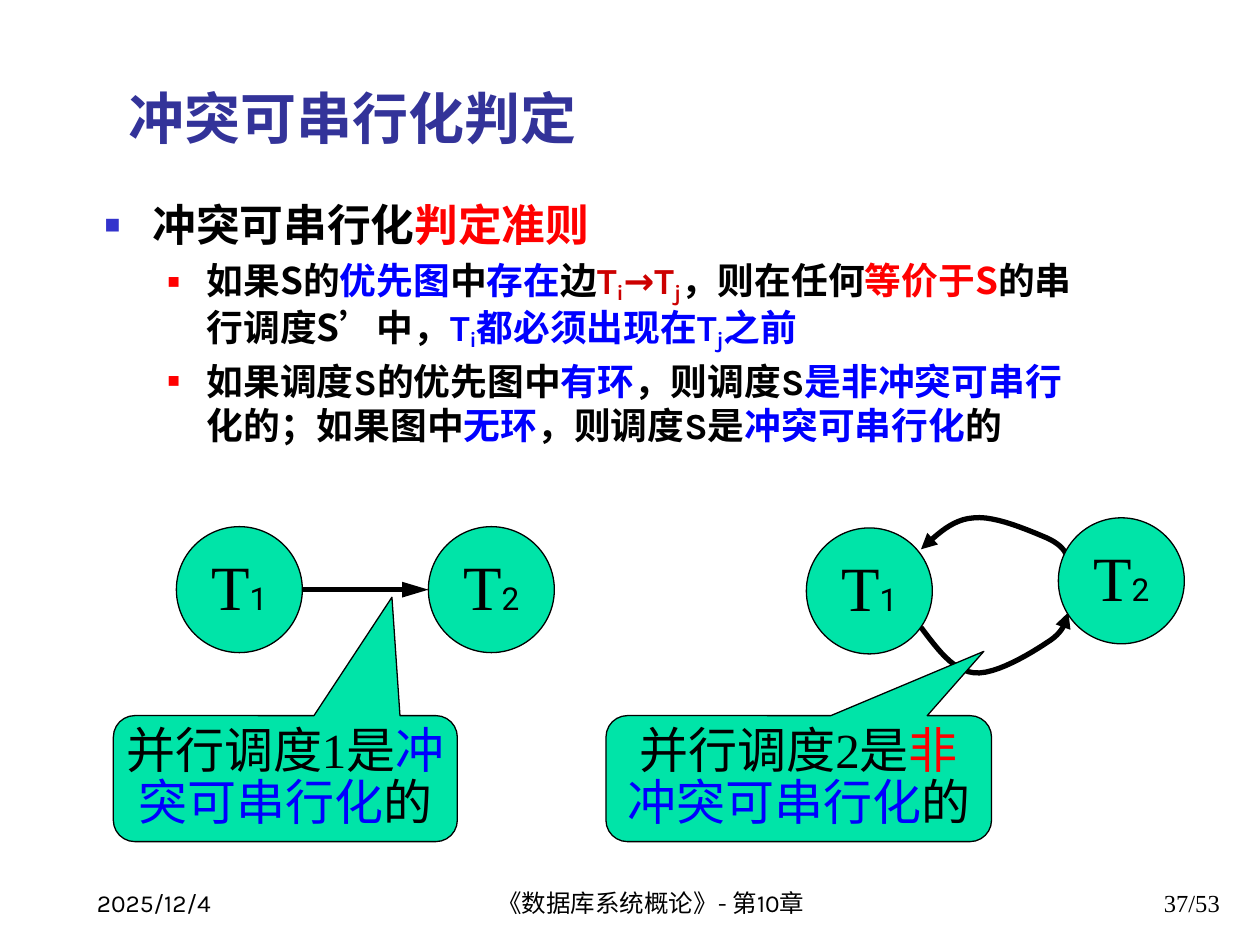
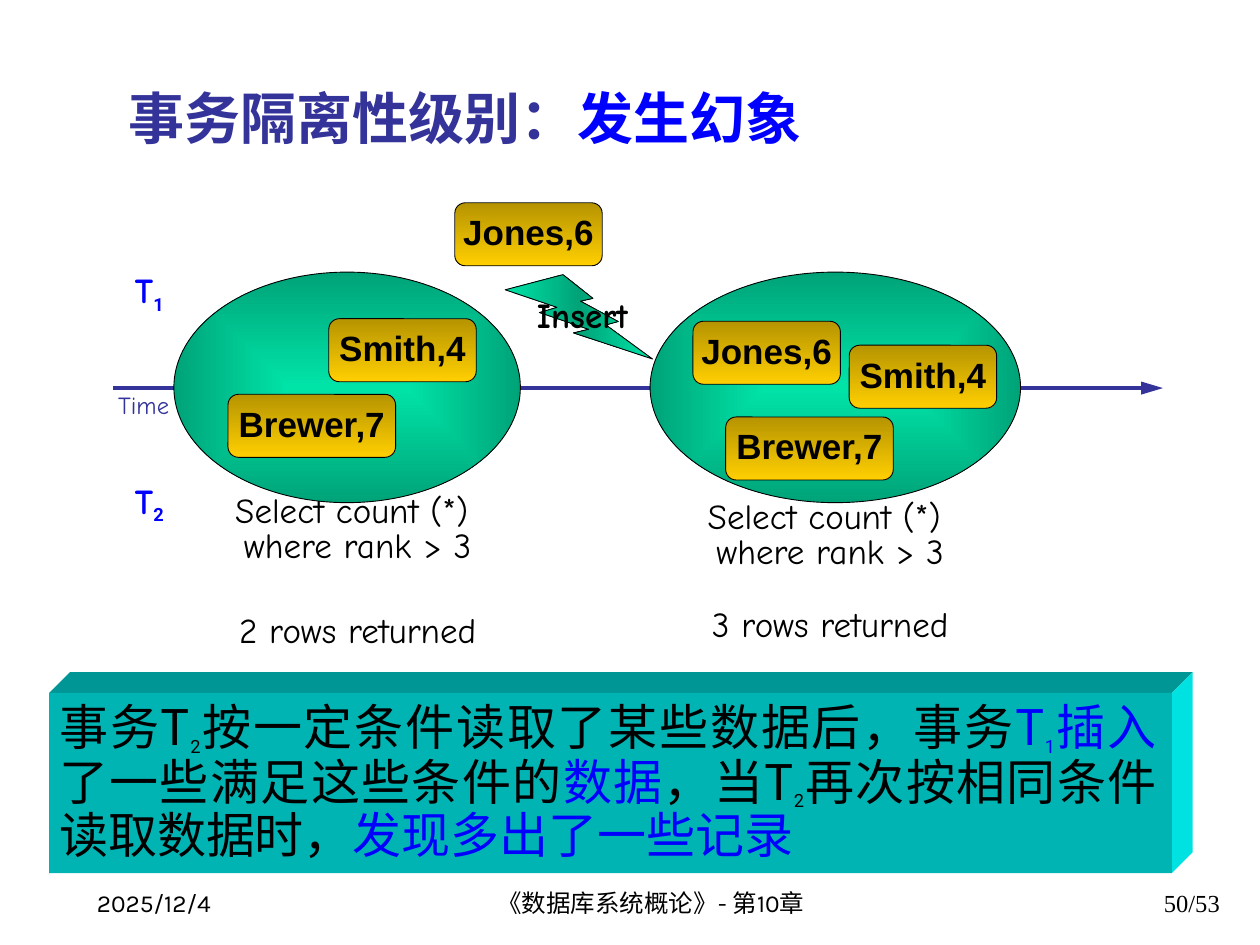
from collections import namedtuple

from lxml import etree
from pptx import Presentation
from pptx.dml.color import RGBColor
from pptx.enum.shapes import MSO_CONNECTOR, MSO_SHAPE
from pptx.enum.text import MSO_ANCHOR, MSO_AUTO_SIZE, PP_ALIGN
from pptx.oxml import parse_xml
from pptx.oxml.ns import nsdecls, qn
from pptx.util import Inches, Pt

LEFT, CENTER, RIGHT, JUSTIFY = PP_ALIGN.LEFT, PP_ALIGN.CENTER, PP_ALIGN.RIGHT, PP_ALIGN.JUSTIFY
MIDDLE, BOTTOM = MSO_ANCHOR.MIDDLE, MSO_ANCHOR.BOTTOM
OVAL, RECT, ROUND_RECT = MSO_SHAPE.OVAL, MSO_SHAPE.RECTANGLE, MSO_SHAPE.ROUNDED_RECTANGLE
CALLOUT, BOLT = MSO_SHAPE.ROUNDED_RECTANGULAR_CALLOUT, MSO_SHAPE.LIGHTNING_BOLT
STRAIGHT = MSO_CONNECTOR.STRAIGHT

COLORS = {
    "ink": "000000", "title": "333399", "bullet": "3333CC", "red": "FF0000",
    "dark_red": "CC0000", "blue": "0000FF", "green": "00E4A8", "dark_green": "00A378",
    "gold": "FFCF01", "dark_gold": "B69401",
    "front": "00B4B4", "top": "009696", "side": "00E1E1",
}
KARLA, COMIC, ROBOTO, TIMES, ARIAL = "Karla", "Comic Neue", "Roboto", "Times New Roman", "Arial"
CJK, CJK_JP = "Noto Sans CJK SC", "Noto Sans CJK JP"
SMALL = dict(font=ROBOTO, size=18)
SUB = dict(SMALL, base=-25)

CELL = 0.1  # inches; the slide is a grid of 100 columns by 75 rows
COLS, ROWS = 100, 75


class Box(namedtuple("Box", "col row cols rows")):
    def sub(self, col, row, cols, rows):
        """Box whose place is counted from this box's corner."""
        return Box(self.col + col, self.row + row, cols, rows)

    def point(self, col, row):
        return grid(self.col + col), grid(self.row + row)

    def emu(self):
        return [grid(n) for n in self]


def grid(cells):
    return Inches(cells * CELL)


def rgb(name):
    return RGBColor.from_string(COLORS[name])


def add_runs(p, runs, **style):
    """Each run is a string, or a string with the styles that differ."""
    for run in runs:
        text, own = (run, {}) if isinstance(run, str) else run
        look = {**dict(size=20, font=KARLA, color="ink", bold=False, base=0), **style, **own}
        for i, line in enumerate(text.split("\n")):
            if i:
                p.add_line_break()
            r = p.add_run()
            r.text = line
            r.font.size, r.font.name, r.font.bold = Pt(look["size"]), look["font"], look["bold"]
            r.font.color.rgb = rgb(look["color"])
            rPr = r.font._element
            ea = look["font"] if look["font"] == CJK_JP else CJK
            etree.SubElement(rPr, qn("a:ea")).set("typeface", ea)
            if look["base"]:
                rPr.set("baseline", str(look["base"] * 1000))


def write(sp, paragraphs, align=CENTER, anchor=MIDDLE, wrap=False, spacing=0.9, gap=0, **style):
    tf = sp.text_frame
    tf.word_wrap, tf.vertical_anchor = wrap, anchor
    tf.auto_size = MSO_AUTO_SIZE.NONE
    for i, runs in enumerate(paragraphs):
        p = tf.add_paragraph() if i else tf.paragraphs[0]
        p.alignment, p.line_spacing = align, spacing
        p.space_before = Pt(gap if i else 0)
        add_runs(p, runs, **style)
    return tf


def label(s, box, paragraphs, **style):
    return write(s.shapes.add_textbox(*box.emu()), paragraphs, **style)


def outline(sp, width, color="ink"):
    sp.line.color.rgb, sp.line.width = rgb(color), Pt(width)


def add_shape(s, kind, box, fill, line=0.75):
    sp = s.shapes.add_shape(kind, *box.emu())
    sp.shadow.inherit = False
    sp.fill.solid()
    sp.fill.fore_color.rgb = rgb(fill)
    if line:
        outline(sp, line)
    else:
        sp.line.fill.background()
    return sp


def gradient(sp, names, angle=None):
    """Even colour stops along an angle, or from the centre out when there is none."""
    stops = "".join(
        f'<a:gs pos="{100000 * i // (len(names) - 1)}"><a:srgbClr val="{COLORS[n]}"/></a:gs>'
        for i, n in enumerate(names))
    way = (f'<a:lin ang="{angle * 60000}" scaled="1"/>' if angle is not None else
           '<a:path path="shape"><a:fillToRect l="50000" t="50000" r="50000" b="50000"/></a:path>')
    solid = sp._element.spPr.find(qn("a:solidFill"))
    solid.getparent().replace(solid, parse_xml(
        f'<a:gradFill {nsdecls("a")} rotWithShape="1"><a:gsLst>{stops}</a:gsLst>{way}</a:gradFill>'))


def arrowhead(sp, end="tailEnd", length="med"):
    head = etree.SubElement(sp.line._get_or_add_ln(), qn("a:" + end))
    head.set("type", "triangle")
    head.set("len", length)


def arrow(s, start, end, width, color="ink"):
    sp = s.shapes.add_connector(STRAIGHT, *start, *end)
    outline(sp, width, color)
    arrowhead(sp, length="lg")
    etree.SubElement(sp._element.spPr, qn("a:effectLst"))


def outline_shape(s, points, close):
    fb = s.shapes.build_freeform(*points[0])
    fb.add_line_segments(points[1:], close=close)
    sp = fb.convert_to_shape()
    sp.shadow.inherit = False
    return sp


def bezier(points, steps=12):
    """Points along joined cubic curves."""
    path = [points[0]]
    for i in range(0, len(points) - 1, 3):
        for k in range(1, steps + 1):
            t = k / steps
            weights = ((1 - t) ** 3, 3 * t * (1 - t) ** 2, 3 * t * t * (1 - t), t ** 3)
            path.append(tuple(sum(w * pt[axis] for w, pt in zip(weights, points[i:i + 4]))
                              for axis in (0, 1)))
    return path


def curved_arrow(s, box, points, end):
    sp = outline_shape(s, bezier([box.point(*pt) for pt in points]), close=False)
    sp.fill.background()
    outline(sp, 3)
    arrowhead(sp, end)


def frame(s, title, number):
    """Title and the three footer texts."""
    sp = s.shapes.title
    sp.left, sp.top, sp.width, sp.height = Box(9.2, 4.2, 88.6, 8.3).emu()
    write(sp, [title], LEFT, BOTTOM, True, 1, size=32, color="title", bold=True)
    footers = (
        (6.7, 20.8, "2025/12/4", LEFT, KARLA),
        (35.8, 31.7, "《数据库系统概论》- 第10章", CENTER, KARLA),
        (77, 20.8, f"{number}/53", RIGHT, TIMES),
    )
    for col, cols, text, align, font in footers:
        label(s, Box(col, 68.3, cols, 5), [[text]], align=align, anchor=BOTTOM, wrap=True,
              spacing=1, size=14, font=font)


def criteria(s, box):
    blue, red, cjk = dict(color="blue"), dict(color="red"), dict(font=CJK)
    edge, index = dict(color="dark_red"), dict(color="dark_red", base=-16)
    blue_cjk, blue_index = dict(blue, font=CJK), dict(blue, base=-16)
    items = (
        (0, ["冲突可串行化", ("判定准则", red)]),
        (1, [("如果S的", cjk), ("优先图", blue_cjk), ("中", cjk), ("存在", blue_cjk), ("边", cjk),
             ("T", edge), ("i", index), ("→T", edge), ("j", index),
             ("，则在任何", cjk), ("等价于S", dict(red, font=CJK)), ("的串行调度S", cjk),
             ("’", dict(font=ARIAL)), ("中，", cjk), ("T", blue), ("i", blue_index),
             ("都必须出现在", blue_cjk), ("T", blue), ("j", blue_index), ("之前", blue_cjk)]),
        (1, ["如果调度S的优先图中", ("有环", blue), "，则调度S", ("是非冲突可串行", blue),
             "化的；如果图中", ("无环", blue), "，则调度S是", ("冲突可串行化", blue), "的"]),
    )
    # text size, left margin, hanging indent, bullet colour, bullet percent
    levels = ((25, 0.38, 0.38, "bullet", 60), (21, 0.81, 0.31, "red", 55))
    sp = s.placeholders[1]
    sp.left, sp.top, sp.width, sp.height = box.emu()
    tf = sp.text_frame
    tf.auto_size = MSO_AUTO_SIZE.NONE
    for i, (level, runs) in enumerate(items):
        size, margin, hang, color, percent = levels[level]
        p = tf.add_paragraph() if i else tf.paragraphs[0]
        p.level = level
        pPr = p._p.get_or_add_pPr()
        pPr.set("marL", str(Inches(margin)))
        pPr.set("indent", str(-Inches(hang)))
        for xml in (f'<a:buClr {nsdecls("a")}><a:srgbClr val="{COLORS[color]}"/></a:buClr>',
                    f'<a:buSzPct {nsdecls("a")} val="{percent * 1000}"/>',
                    f'<a:buFont {nsdecls("a")} typeface="{ARIAL}"/>',
                    f'<a:buChar {nsdecls("a")} char="■"/>'):
            pPr.append(parse_xml(xml))
        p.space_before = Pt(0.2 * size if i else 0)
        add_runs(p, runs, size=size, bold=True)


def node(s, box, number):
    sp = add_shape(s, OVAL, box, "green")
    write(sp, [["T", (number, SMALL)]], size=36, font=TIMES)


def verdict(s, box, tip, paragraphs):
    sp = add_shape(s, CALLOUT, box, "green")
    for i, value in enumerate((*tip, 0.17)):
        sp.adjustments[i] = value
    write(sp, paragraphs, size=28, font=TIMES)


def acyclic_graph(s, box):
    node(s, box.sub(5, 0.7, 10, 10), "1")
    node(s, box.sub(25, 0.7, 10, 10), "2")
    arrow(s, box.point(15, 5.7), box.point(25, 5.7), 3)
    blue = dict(color="blue")
    verdict(s, box.sub(0, 15.7, 27.3, 10), (0.31, -1.44),
            [["并行调度1是", ("冲", blue)], [("突可串行化", blue), "的"]])


def cyclic_graph(s, box):
    node(s, box.sub(15.9, 0.8, 10, 10), "1")
    curved_arrow(s, box, [(25, 2.5), (26.3, 1.3), (27.5, 0.1), (29.2, 0), (30.9, -0.2),
                          (33.8, 1.1), (35, 1.6), (36.3, 2.2), (36.5, 2.8), (36.7, 3.3)], "headEnd")
    curved_arrow(s, box, [(25, 8.7), (26.3, 10.4), (27.5, 12.1), (29.2, 12.3), (30.9, 12.5),
                          (33.8, 10.7), (35, 9.9), (36.3, 9.1), (36.5, 8.3), (36.7, 7.5)], "tailEnd")
    node(s, box.sub(35.9, 0, 10, 10), "2")
    verdict(s, box.sub(0, 15.7, 30.6, 10), (0.48, -1.01),
            [["并行调度2是", ("非", dict(color="red"))],
             [("冲突可串行化", dict(color="blue")), "的"]])


def record(s, box, text):
    sp = add_shape(s, ROUND_RECT, box, "gold", 0.5)
    gradient(sp, ("dark_gold", "gold"), 90)
    write(sp, [[text]], font=ARIAL, bold=True)


def read_set(s, box, records):
    sp = add_shape(s, OVAL, box, "green", 0.5)
    gradient(sp, ("green", "dark_green"))
    for col, row, cols, text in records:
        record(s, box.sub(col, row, cols, 5), text)


def timeline(s, box):
    for row, number in ((5, "1"), (21.7, "2")):
        label(s, box.sub(1.2, row, 4.9, 4), [["T", (number, SUB)]],
              font=COMIC, color="blue", bold=True)
    arrow(s, box.point(0.8, 14.7), box.point(84.1, 14.7), 2.5, "title")
    label(s, box.sub(0, 14.6, 6.4, 3.1), [["Time"]], size=14, font=COMIC, color="title")
    for col, count, gap in ((8.4, 2, 28), (45.9, 3, 21)):
        label(s, box.sub(col, 23.2, 23.6, 12.3),
              [["Select count (*) \nwhere rank > 3"], [f"{count} rows returned"]],
              spacing=0.85, gap=gap, font=COMIC)
    bolt = add_shape(s, BOLT, box.sub(31.9, 5.7, 11.7, 6.7), "green", 0.5)
    gradient(bolt, ("green", "dark_green", "green"), 0)
    write(bolt, [["Insert"]], font=COMIC, bold=True)
    record(s, box.sub(27.9, 0, 11.7, 5), "Jones,6")
    read_set(s, box.sub(43.4, 5.5, 29.4, 18.3), (
        (15.8, 5.8, 11.7, "Smith,4"), (6, 11.5, 13.3, "Brewer,7"), (3.4, 3.9, 11.7, "Jones,6")))
    read_set(s, box.sub(5.6, 5.5, 27.5, 18.3), (
        (12.3, 3.7, 11.7, "Smith,4"), (4.3, 9.7, 13.3, "Brewer,7")))


def summary_block(s, box, depth=1.65):
    """Solid block: front face with the text, top and side faces behind it."""
    w, h = box.cols, box.rows
    faces = (
        ("top", [(0, 0), (depth, -depth), (w + depth, -depth), (w, 0)]),
        ("side", [(w, 0), (w + depth, -depth), (w + depth, h - depth), (w, h)]),
    )
    for color, corners in faces:
        sp = outline_shape(s, [box.point(*pt) for pt in corners], close=True)
        sp.fill.solid()
        sp.fill.fore_color.rgb = rgb(color)
        sp.line.fill.background()
    front = add_shape(s, RECT, box, "front", line=0)
    blue = dict(color="blue")
    tf = write(front, [[
        "事务T", ("2", SUB), "按一定条件读取了某些数据后，事务", ("T", blue), ("1", dict(SUB, **blue)),
        ("插入", blue), "了一些满足这些条件的", ("数据", blue), "，当T", ("2", SUB),
        "再次按相同条件读取数据时，", ("发现多出了一些记录", blue),
    ]], JUSTIFY, wrap=True, size=28, font=CJK_JP)
    tf.margin_left = tf.margin_top = tf.margin_bottom = Inches(0.08)
    tf.margin_right = Inches(0.12)


def main():
    prs = Presentation()
    prs.slide_width, prs.slide_height = grid(COLS), grid(ROWS)

    s = prs.slides.add_slide(prs.slide_layouts[1])
    frame(s, ["冲突可串行化判定"], 37)
    criteria(s, Box(7.3, 15.2, 80, 21.5))
    acyclic_graph(s, Box(9, 41.1, 35, 25.7))
    cyclic_graph(s, Box(48.1, 41.1, 45.9, 25.7))

    s = prs.slides.add_slide(prs.slide_layouts[5])
    timeline(s, Box(8.2, 16.1, 84.1, 35.5))
    summary_block(s, Box(3.9, 55, 89.1, 14.3))
    frame(s, ["事务隔离性级别：", ("发生幻象", dict(color="blue"))], 50)

    prs.save("out.pptx")


if __name__ == "__main__":
    main()
